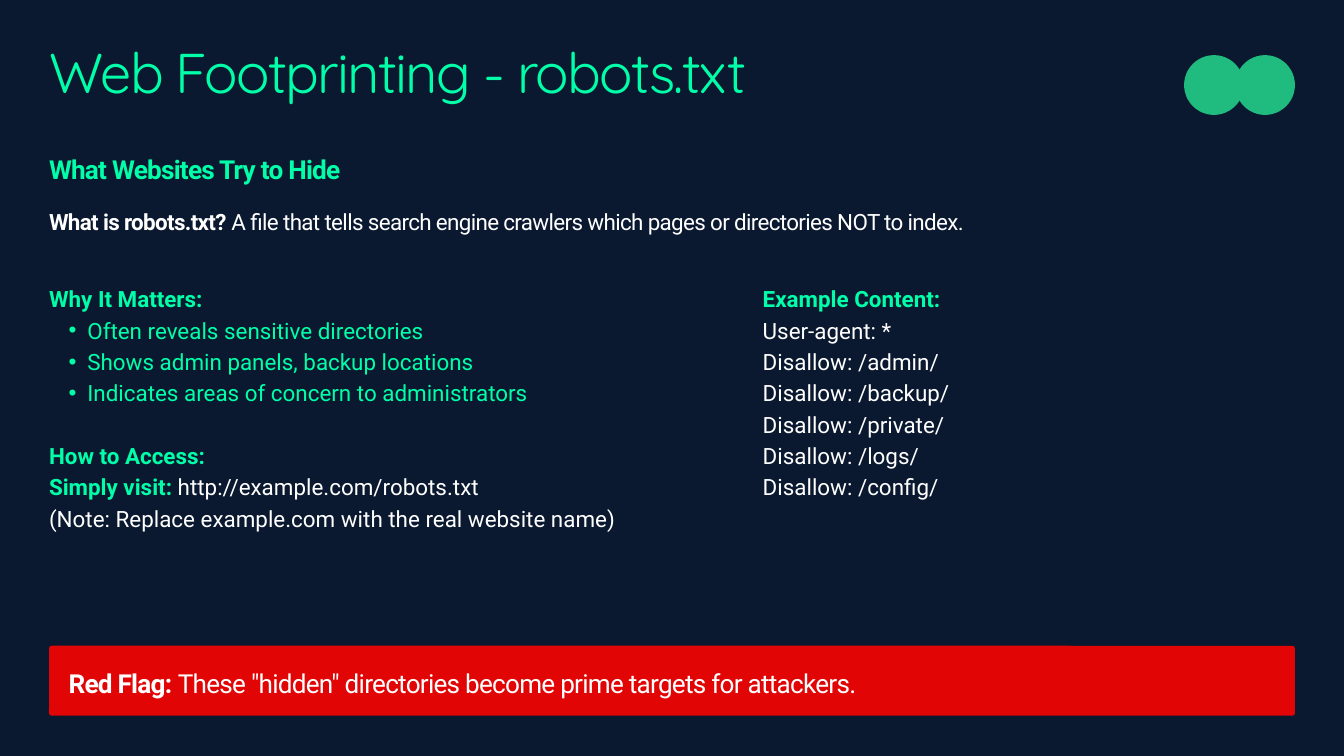
from lxml.etree import SubElement
from pptx import Presentation
from pptx.dml.color import RGBColor
from pptx.enum.shapes import MSO_SHAPE
from pptx.enum.text import MSO_ANCHOR, PP_ALIGN
from pptx.oxml.ns import qn
from pptx.util import Inches, Pt

NAVY = RGBColor(0x0A, 0x19, 0x2F)
MINT = RGBColor(0x00, 0xFF, 0xA8)
GREEN = RGBColor(0x1F, 0xBB, 0x7F)
RED = RGBColor(0xE1, 0x05, 0x05)
WHITE = RGBColor(0xFF, 0xFF, 0xFF)

MARGIN = 0.73
CONTENT_WIDTH = 18.54
BODY_TOP = 4.18
BODY_LEADING = 33.6


def add_box(page, left, top, width, height):
    """Add a wrapping text box without insets and return its text frame."""
    box = page.shapes.add_textbox(Inches(left), Inches(top), Inches(width), Inches(height))
    frame = box.text_frame
    frame.word_wrap = True
    frame.margin_left = frame.margin_right = Inches(0)
    frame.margin_top = frame.margin_bottom = Inches(0)
    return frame


def next_para(frame, leading):
    """Return the unused first paragraph or a new one, with fixed leading."""
    first = frame.paragraphs[0]
    para = frame.add_paragraph() if first.runs else first
    para.line_spacing = Pt(leading)
    para.alignment = PP_ALIGN.LEFT
    return para


def add_span(para, text, color, size=24, bold=False, name="Roboto", tracking=0):
    """Append one formatted run, with tracking in points."""
    span = para.add_run()
    span.text = text
    span.font.size = Pt(size)
    span.font.name = name
    span.font.bold = bold
    span.font.color.rgb = color
    if tracking:
        span._r.get_or_add_rPr().set("spc", str(round(tracking * 100)))


def add_bullet(para):
    """Give a paragraph a round bullet and a hanging indent."""
    para.level = 1
    props = para._p.get_or_add_pPr()
    props.set("marL", str(Inches(0.57)))
    props.set("indent", str(Inches(-0.28)))
    SubElement(props, qn("a:buFont")).set("typeface", "Arial")
    SubElement(props, qn("a:buChar")).set("char", "•")


def add_filled(page, kind, left, top, width, height, color):
    """Add a preset shape with a plain fill and no outline."""
    shape = page.shapes.add_shape(kind, Inches(left), Inches(top), Inches(width), Inches(height))
    shape.shadow.inherit = False
    shape.fill.solid()
    shape.fill.fore_color.rgb = color
    shape.line.fill.background()
    return shape


def add_header(page, left, top, width):
    """Place the title, the subtitle and the definition line."""
    title = next_para(add_box(page, left, top, width, 1.01), 60)
    add_span(title, "Web Footprinting - robots.txt", MINT, 60, name="Quicksand", tracking=-1.8)
    subtitle = next_para(add_box(page, left, top + 1.57, 6.5, 0.46), 33.6)
    add_span(subtitle, "What Websites Try to Hide", MINT, 28, bold=True, tracking=-0.8)
    definition = next_para(add_box(page, left, top + 2.38, width, 0.39), 28.8)
    add_span(definition, "What is robots.txt? ", WHITE, bold=True, tracking=-0.7)
    add_span(
        definition,
        "A file that tells search engine crawlers which pages or directories NOT to index.",
        WHITE,
        tracking=-0.7,
    )


def add_circles(page, right, top, size):
    """Place two overlapping circles that end at the right edge."""
    for offset in (0.76, 0):
        add_filled(page, MSO_SHAPE.OVAL, right - size - offset, top, size, size, GREEN)


def add_reasons(page, left, top, width, height):
    """Place the reasons and the access instructions."""
    frame = add_box(page, left, top, width, height)
    add_span(next_para(frame, BODY_LEADING), "Why It Matters:", MINT, bold=True)
    for reason in (
        "Often reveals sensitive directories",
        "Shows admin panels, backup locations",
        "Indicates areas of concern to administrators",
    ):
        para = next_para(frame, BODY_LEADING)
        add_bullet(para)
        add_span(para, reason, MINT)
    heading = next_para(frame, BODY_LEADING)
    heading.space_before = Pt(BODY_LEADING)
    add_span(heading, "How to Access:", MINT, bold=True)
    visit = next_para(frame, BODY_LEADING)
    add_span(visit, "Simply visit: ", MINT, bold=True)
    add_span(visit, "http://example.com/robots.txt", WHITE)
    note = next_para(frame, BODY_LEADING)
    add_span(note, "(Note: Replace example.com with the real website name)", WHITE)


def add_example(page, left, top, width, height):
    """Place the sample robots.txt lines under their heading."""
    frame = add_box(page, left, top, width, height)
    add_span(next_para(frame, BODY_LEADING), "Example Content:", MINT, bold=True)
    rules = [f"Disallow: /{name}/" for name in ("admin", "backup", "private", "logs", "config")]
    for line in ["User-agent: *", *rules]:
        add_span(next_para(frame, BODY_LEADING), line, WHITE)


def add_red_flag(page, left, top, width, height):
    """Place the red warning banner with its text."""
    banner = add_filled(page, MSO_SHAPE.ROUNDED_RECTANGLE, left, top, width, height, RED)
    banner.adjustments[0] = 0.04
    frame = banner.text_frame
    frame.word_wrap = True
    frame.vertical_anchor = MSO_ANCHOR.MIDDLE
    frame.margin_left = frame.margin_right = Inches(0.28)
    frame.margin_top = frame.margin_bottom = Inches(0.28)
    para = next_para(frame, 39.2)
    add_span(para, "Red Flag: ", WHITE, 28, bold=True, tracking=-0.8)
    add_span(
        para,
        'These "hidden" directories become prime targets for attackers.',
        WHITE,
        28,
        tracking=-0.8,
    )


def main():
    """Build the slide and save the deck."""
    deck = Presentation()
    deck.slide_width = Inches(20)
    deck.slide_height = Inches(11.25)
    page = deck.slides.add_slide(deck.slide_layouts[6])
    page.background.fill.solid()
    page.background.fill.fore_color.rgb = NAVY
    add_header(page, MARGIN, 0.72, CONTENT_WIDTH)
    add_circles(page, MARGIN + CONTENT_WIDTH, 0.82, 0.89)
    add_reasons(page, MARGIN, BODY_TOP, 11.69, 3.64)
    add_example(page, 11.35, BODY_TOP, 6.08, 3.18)
    add_red_flag(page, MARGIN, 9.61, CONTENT_WIDTH, 1.04)
    deck.save("out.pptx")


if __name__ == "__main__":
    main()
